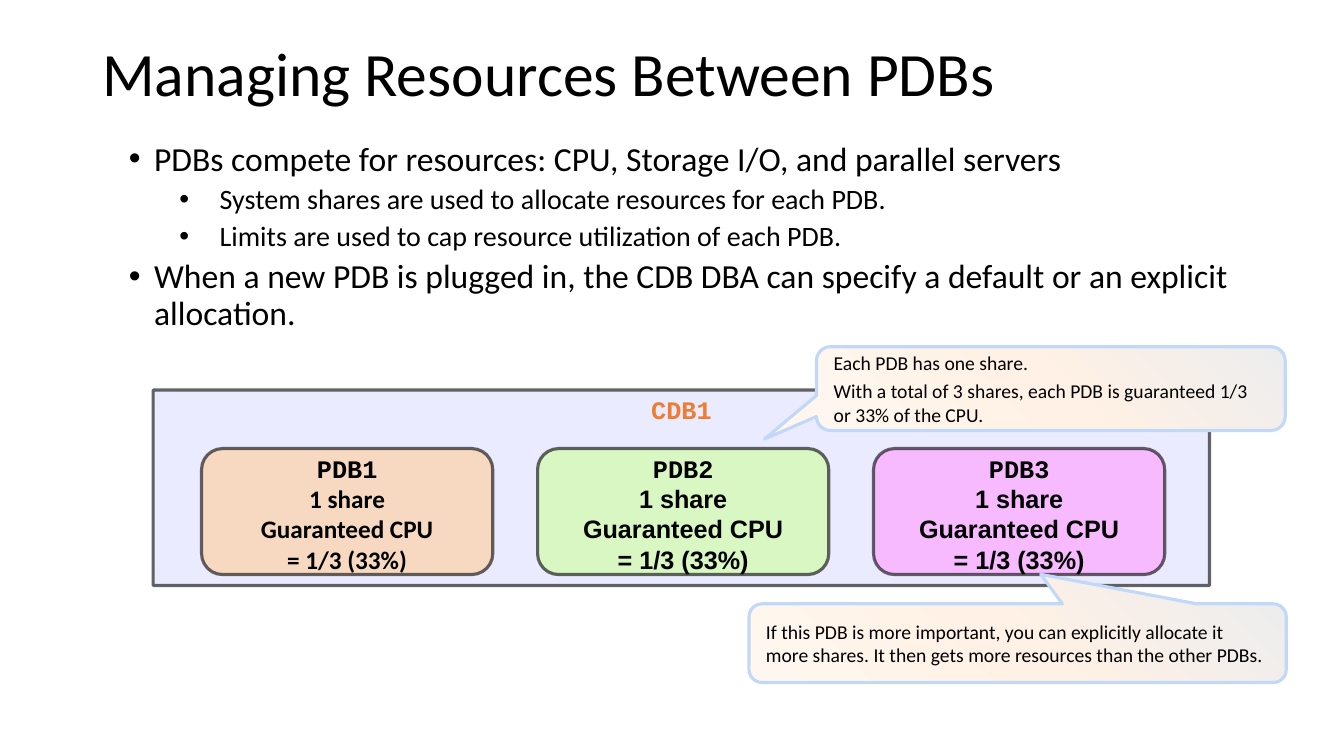
"""Build the slide on sharing resources between pluggable databases."""
from lxml import etree
from pptx import Presentation
from pptx import util as u
from pptx.dml.color import RGBColor
from pptx.enum import shapes, text
from pptx.oxml import parse_xml
from pptx.oxml.ns import nsdecls, qn

COLORS = {
    "text": "000000", "heading": "ED7D31", "outline": "000000", "container": "EBEBFF",
    "peach": "F7D9C2", "green": "D9F7C2", "pink": "F7BAFF", "callout_line": "C2D8F8",
    "grey": "EDEDED", "cream": "FFF1E5", "ivory": "FFF7EF",
}


def write(shape, lines, size, fonts, insets, anchor, align, bold=False, color="text"):
    frame = shape.text_frame
    frame.word_wrap = True
    frame.vertical_anchor = anchor
    frame.margin_left, frame.margin_top, frame.margin_right, frame.margin_bottom = map(u.Pt, insets)
    frame.text = "\n".join(lines)
    for paragraph, font in zip(frame.paragraphs, fonts):
        paragraph.alignment = align
        for run in paragraph.runs:
            run.font.name = font
            run.font.size = u.Pt(size)
            run.font.bold = bold
            run.font.color.rgb = RGBColor.from_string(COLORS[color])
    return frame.paragraphs


def add_box(kind, bounds, fill, line, alpha=100):
    shape = slide.shapes.add_shape(kind, *map(u.Pt, bounds))
    shape.shadow.inherit = False
    shape.fill.solid()
    shape.fill.fore_color.rgb = RGBColor.from_string(COLORS[fill])
    shape.line.width = u.Pt(2.25)
    shape.line.color.rgb = RGBColor.from_string(COLORS[line])
    line_color = shape.line._ln.find(qn("a:solidFill"))[0]
    etree.SubElement(line_color, qn("a:alpha"), val=str(alpha * 1000))
    return shape


presentation = Presentation()
presentation.slide_width, presentation.slide_height = u.Pt(960), u.Pt(540)
slide = presentation.slides.add_slide(presentation.slide_layouts[6])
LEFT, CENTER = text.PP_ALIGN.LEFT, text.PP_ALIGN.CENTER
TOP, MIDDLE = text.MSO_ANCHOR.TOP, text.MSO_ANCHOR.MIDDLE
TEXT_INSETS = (7.2, 3.6, 7.2, 3.6)

title = slide.shapes.add_textbox(*map(u.Pt, (66, 27.6, 828, 104.4)))
write(title, ["Managing Resources Between PDBs"], 44, ["Calibri"],
      TEXT_INSETS, TOP, LEFT)[0].line_spacing = 0.9

bullets = [
    (0, "PDBs compete for resources: CPU, Storage I/O, and parallel servers"),
    (1, "System shares are used to allocate resources for each PDB."),
    (1, "Limits are used to cap resource utilization of each PDB."),
    (0, "When a new PDB is plugged in, the CDB DBA can specify a default or an explicit allocation."),
]
bullet_styles = [(24, 54, 18), (20, 100.8, 28.8)]
body = slide.shapes.add_textbox(*map(u.Pt, (49, 97.9, 861.8, 146.9)))
paragraphs = write(body, [line for _, line in bullets], 24, ["Calibri"] * len(bullets),
                   TEXT_INSETS, TOP, LEFT)
for paragraph, (level, _) in zip(paragraphs, bullets):
    size, margin, hanging = bullet_styles[level]
    paragraph.level = level
    paragraph.line_spacing = 0.9
    paragraph.space_before = u.Pt(5)
    paragraph.runs[0].font.size = u.Pt(size)
    properties = paragraph._p.get_or_add_pPr()
    properties.set("marL", str(u.Pt(margin)))
    properties.set("indent", str(-u.Pt(hanging)))
    etree.SubElement(properties, qn("a:buFont"), typeface="Arial")
    etree.SubElement(properties, qn("a:buChar"), char="•")

container = add_box(shapes.MSO_SHAPE.RECTANGLE, (109.4, 278.6, 754.6, 139.7),
                    "container", "outline", 60)
write(container, ["CDB1"], 18, ["Courier New"], (0, 14.4, 0, 0), TOP, CENTER,
      True, "heading")[0].line_spacing = u.Pt(10)

databases = [("peach", "Calibri"), ("green", "Arial"), ("pink", "Arial")]
for index, (fill, font) in enumerate(databases):
    database = add_box(shapes.MSO_SHAPE.ROUNDED_RECTANGLE,
                       (144 + 240 * index, 320.4, 208, 90), fill, "outline", 60)
    lines = [f"PDB{index + 1}", "1 share", "Guaranteed CPU", "= 1/3 (33%)"]
    write(database, lines, 18, ["Courier New"] + [font] * 3, (0, 5.8, 0, 2.9),
          MIDDLE, CENTER, True)

callouts = [
    ((583.2, 247.7, 334.8, 59.8), (-0.611, 0.603),
     ["Each PDB has one share.",
      "With a total of 3 shares, each PDB is guaranteed 1/3 or 33% of the CPU."]),
    ((535, 431.3, 383.8, 56.2), (0.043, -0.875),
     ["If this PDB is more important, you can explicitly allocate it more shares. "
      "It then gets more resources than the other PDBs."]),
]
gradient_stops = "".join(
    f'<a:gs pos="{position * 1000}"><a:srgbClr val="{COLORS[name]}"/></a:gs>'
    for position, name in [(0, "grey"), (50, "cream"), (100, "ivory")])
for bounds, pointer, lines in callouts:
    callout = add_box(shapes.MSO_SHAPE.ROUNDED_RECTANGULAR_CALLOUT, bounds, "cream", "callout_line")
    callout.adjustments[0], callout.adjustments[1] = pointer
    properties = callout._element.spPr
    properties.replace(properties.find(qn("a:solidFill")), parse_xml(
        f'<a:gradFill {nsdecls("a")}><a:gsLst>{gradient_stops}</a:gsLst>'
        '<a:lin ang="8100000" scaled="0"/></a:gradFill>'))
    for paragraph in write(callout, lines, 14, ["Calibri"] * len(lines),
                           (9.4, 5, 9.4, 5), MIDDLE, LEFT):
        paragraph.space_before = u.Pt(3)

presentation.save("out.pptx")
